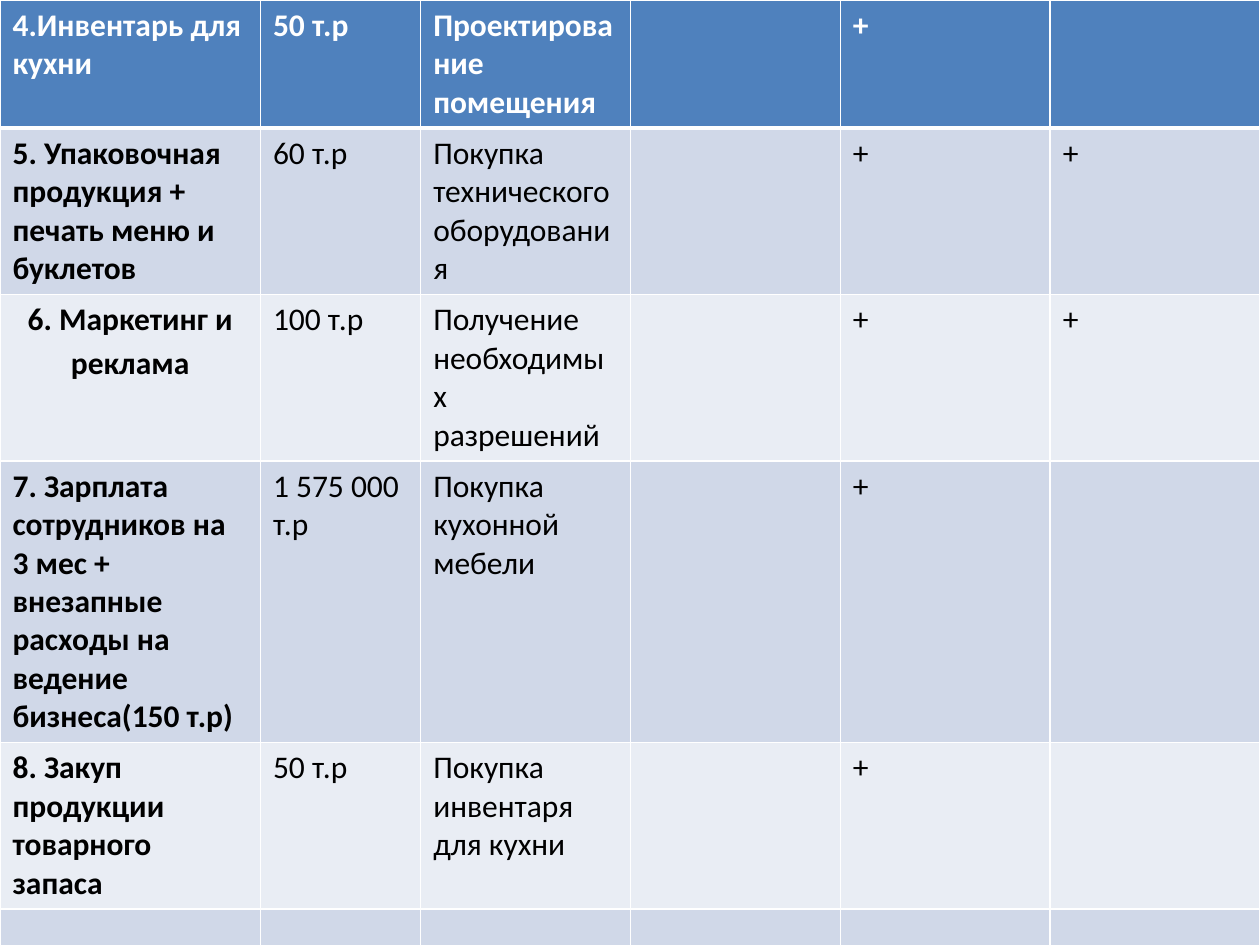
from lxml import etree
from pptx import Presentation
from pptx.dml.color import RGBColor
from pptx.enum.text import PP_ALIGN
from pptx.oxml.ns import qn
from pptx.util import Cm, Pt

CENTER = PP_ALIGN.CENTER
WHITE = RGBColor(0xFF, 0xFF, 0xFF)
BLACK = RGBColor(0x00, 0x00, 0x00)
HEADER_BLUE = RGBColor(0x4F, 0x81, 0xBD)
BANDS = (RGBColor(0xE9, 0xED, 0xF4), RGBColor(0xD0, 0xD8, 0xE8))

COLUMN_WIDTHS = [5.25, 3.23] + [4.23] * 4
ROW_HEIGHT = 1.03
MARKETING_ROW = 2
BUDGET_PLAN = [
    ("4.Инвентарь для кухни", "50 т.р", "Проектирование помещения", "", "+", ""),
    ("5. Упаковочная продукция + печать меню и буклетов", "60 т.р",
     "Покупка технического оборудования", "", "+", "+"),
    ("6. Маркетинг и реклама", "100 т.р", "Получение необходимых разрешений", "", "+", "+"),
    ("7. Зарплата сотрудников на 3 мес + внезапные расходы на ведение бизнеса(150 т.р)",
     "1 575 000 т.р", "Покупка кухонной мебели", "", "+", ""),
    ("8. Закуп продукции товарного запаса", "50 т.р", "Покупка инвентаря для кухни", "", "+", ""),
    ("",) * 6,
]


def set_borders(cell, is_header):
    """Draw white cell borders, heavier below the header row."""
    tcPr = cell._tc.get_or_add_tcPr()
    for side in "LRTB":
        width = Pt(3) if is_header and side == "B" else Pt(1)
        ln = etree.SubElement(tcPr, qn(f"a:ln{side}"), w=str(width))
        fill = etree.SubElement(ln, qn("a:solidFill"))
        etree.SubElement(fill, qn("a:srgbClr"), val=str(WHITE))


def fill_cell(cell, text, row, col):
    """Write and format one cell according to its row and column."""
    is_header = row == 0
    set_borders(cell, is_header)
    cell.fill.solid()
    cell.fill.fore_color.rgb = HEADER_BLUE if is_header else BANDS[row % 2]
    cell.text = text
    p = cell.text_frame.paragraphs[0]
    p.font.name = "Calibri"
    p.font.size = Pt(18)
    p.font.bold = is_header or col == 0
    p.font.color.rgb = WHITE if is_header else BLACK


def center_label(cell):
    """Centre a label with loose line spacing and tight margins."""
    cell.margin_left = cell.margin_right = Cm(0.19)
    cell.margin_top = cell.margin_bottom = 0
    p = cell.text_frame.paragraphs[0]
    p.alignment = CENTER
    p.line_spacing = 1.15


def add_budget_table(slide):
    """Add the budget and schedule table across the slide."""
    rows, cols = len(BUDGET_PLAN), len(COLUMN_WIDTHS)
    table = slide.shapes.add_table(
        rows, cols, 0, 0, Cm(sum(COLUMN_WIDTHS)), Cm(rows * ROW_HEIGHT)).table
    for column, width in zip(table.columns, COLUMN_WIDTHS):
        column.width = Cm(width)
    for row, texts in enumerate(BUDGET_PLAN):
        table.rows[row].height = Cm(ROW_HEIGHT)
        for col, text in enumerate(texts):
            fill_cell(table.cell(row, col), text, row, col)
    center_label(table.cell(MARKETING_ROW, 0))


def main():
    """Build and save the slide."""
    prs = Presentation()
    prs.slide_width, prs.slide_height = Cm(25.4), Cm(19.05)
    add_budget_table(prs.slides.add_slide(prs.slide_layouts[6]))
    prs.save("out.pptx")


if __name__ == "__main__":
    main()
